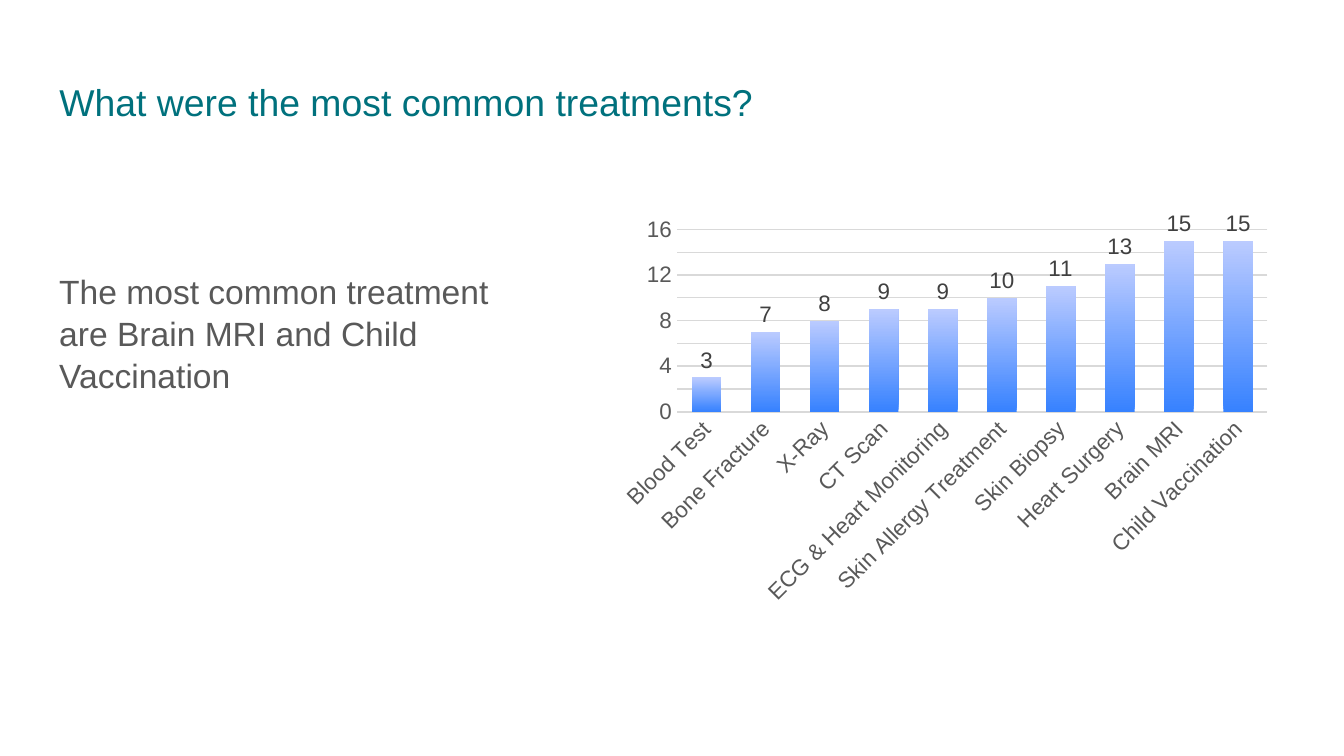
from dataclasses import dataclass
from typing import Any

from pptx import Presentation
from pptx.chart.data import CategoryChartData as Data
from pptx.dml.color import RGBColor as Rgb
from pptx.enum.chart import XL_CHART_TYPE as Kind
from pptx.enum.chart import XL_LABEL_POSITION as Spot
from pptx.enum.chart import XL_TICK_MARK as Tick
from pptx.enum.text import MSO_ANCHOR as Anchor
from pptx.enum.text import PP_ALIGN as Align
from pptx.util import Cm, Pt

TEAL, GREY, DARK, PALE = "00717D", "595959", "404040", "D9D9D9"
BLUE, SKY = "3782FF", "BBCBFF"
COUNTS = {
    "Blood Test": 3,
    "Bone Fracture": 7,
    "X-Ray": 8,
    "CT Scan": 9,
    "ECG & Heart Monitoring": 9,
    "Skin Allergy Treatment": 10,
    "Skin Biopsy": 11,
    "Heart Surgery": 13,
    "Brain MRI": 15,
    "Child Vaccination": 15,
}


@dataclass
class Box:
    left: float
    top: float
    width: float
    height: float

    def cm(self) -> list[Cm]:
        return [Cm(v) for v in (self.left, self.top, self.width, self.height)]


@dataclass
class Note:
    text: str
    box: Box
    size: int
    tint: str
    gap: float


def color(code: str) -> Rgb:
    return Rgb.from_string(code)


def apply(item: Any, form: dict[str, Any]) -> None:
    for name, value in form.items():
        setattr(item, name, value)


def style(font: Any, size: int, tint: str) -> None:
    apply(font, {"name": "Arial", "size": Pt(size), "bold": False})
    font.color.rgb = color(tint)


def rule(line: Any, width: float) -> None:
    line.color.rgb = color(PALE)
    line.width = Pt(width)


def write(shape: Any, note: Note) -> None:
    apply(shape, dict(zip(("left", "top", "width", "height"), note.box.cm())))
    frame = shape.text_frame
    sides = ("margin_left", "margin_top", "margin_right", "margin_bottom")
    apply(frame, dict.fromkeys(sides, Cm(0.25)))
    apply(frame, {"word_wrap": True, "vertical_anchor": Anchor.TOP})
    frame.text = note.text
    para = frame.paragraphs[0]
    apply(para, {"alignment": Align.LEFT, "line_spacing": note.gap})
    style(para.runs[0].font, note.size, note.tint)


def plot(slide: Any, box: Box) -> None:
    data = Data()
    data.categories = list(COUNTS)
    data.add_series("Series 1", list(COUNTS.values()))
    chart = slide.shapes.add_chart(Kind.COLUMN_CLUSTERED, *box.cm(), data).chart
    apply(chart, {"has_legend": False, "has_title": False})
    style(chart.font, 10, "000000")

    cats, vals = chart.category_axis, chart.value_axis
    for axis in (cats, vals):
        apply(axis, {"major_tick_mark": Tick.NONE, "minor_tick_mark": Tick.NONE})
        style(axis.tick_labels.font, 12, GREY)
    rule(cats.format.line, 1)
    apply(vals, {"minimum_scale": 0, "maximum_scale": 16, "major_unit": 2})
    vals.format.line.fill.background()
    rule(vals.major_gridlines.format.line, 0.75)

    bars = chart.plots[0]
    apply(bars, {"gap_width": 100, "overlap": -24, "vary_by_categories": False})
    fill = bars.series[0].format.fill
    fill.gradient()
    fill.gradient_angle = 90
    for stop, tint in zip(fill.gradient_stops, (BLUE, SKY)):
        stop.color.rgb = color(tint)
    labels = bars.series[0].data_labels
    apply(labels, {"show_value": True, "position": Spot.OUTSIDE_END})
    style(labels.font, 12, DARK)


def main() -> None:
    deck = Presentation()
    apply(deck, {"slide_width": Cm(25.4), "slide_height": Cm(14.29)})
    slide = deck.slides.add_slide(deck.slide_layouts[5])
    head = Note("What were the most common treatments?",
                Box(0.87, 1.24, 23.67, 1.6), 20, TEAL, 1)
    text = Note("The most common treatment are Brain MRI and Child Vaccination",
                Box(0.87, 4.83, 9.6, 3.48), 18, GREY, 1.05)
    write(slide.shapes.title, head)
    plot(slide, Box(11.51, 3.96, 12.7, 7.62))
    write(slide.shapes.add_textbox(*text.box.cm()), text)
    deck.save("out.pptx")


if __name__ == "__main__":
    main()
